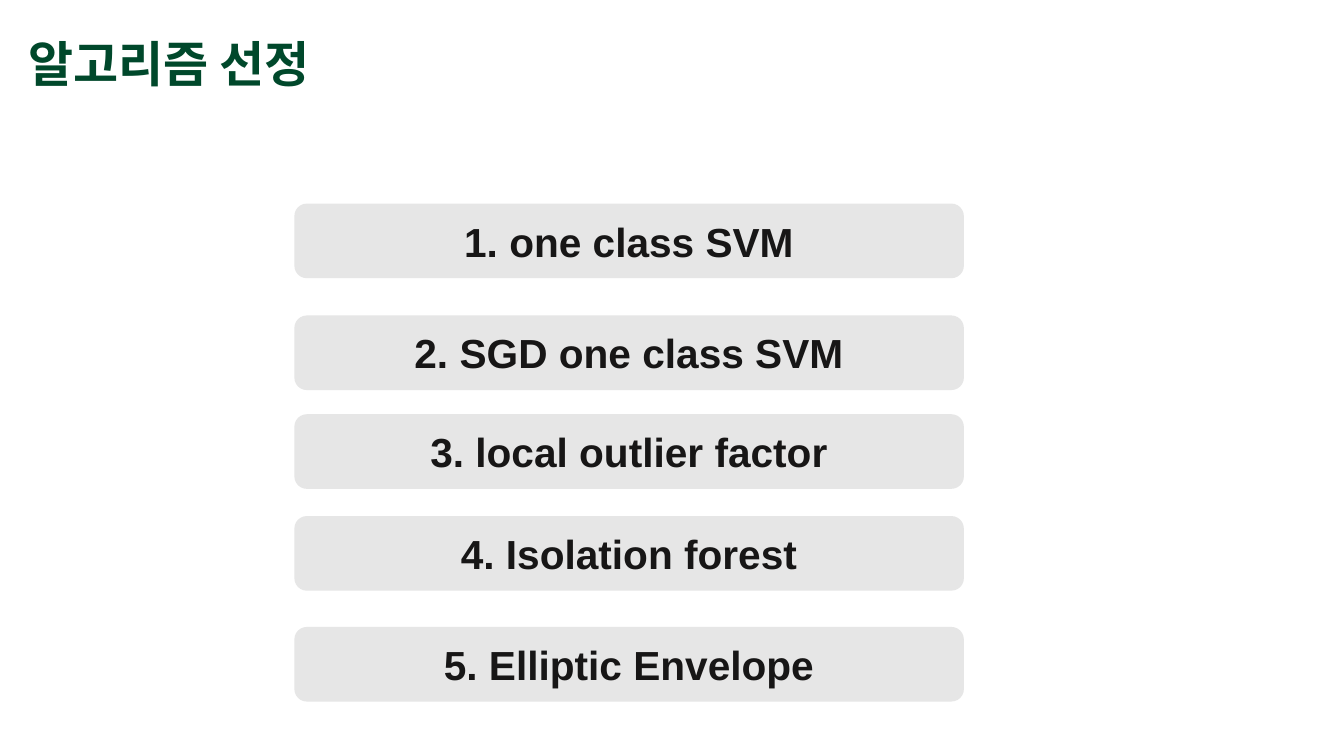
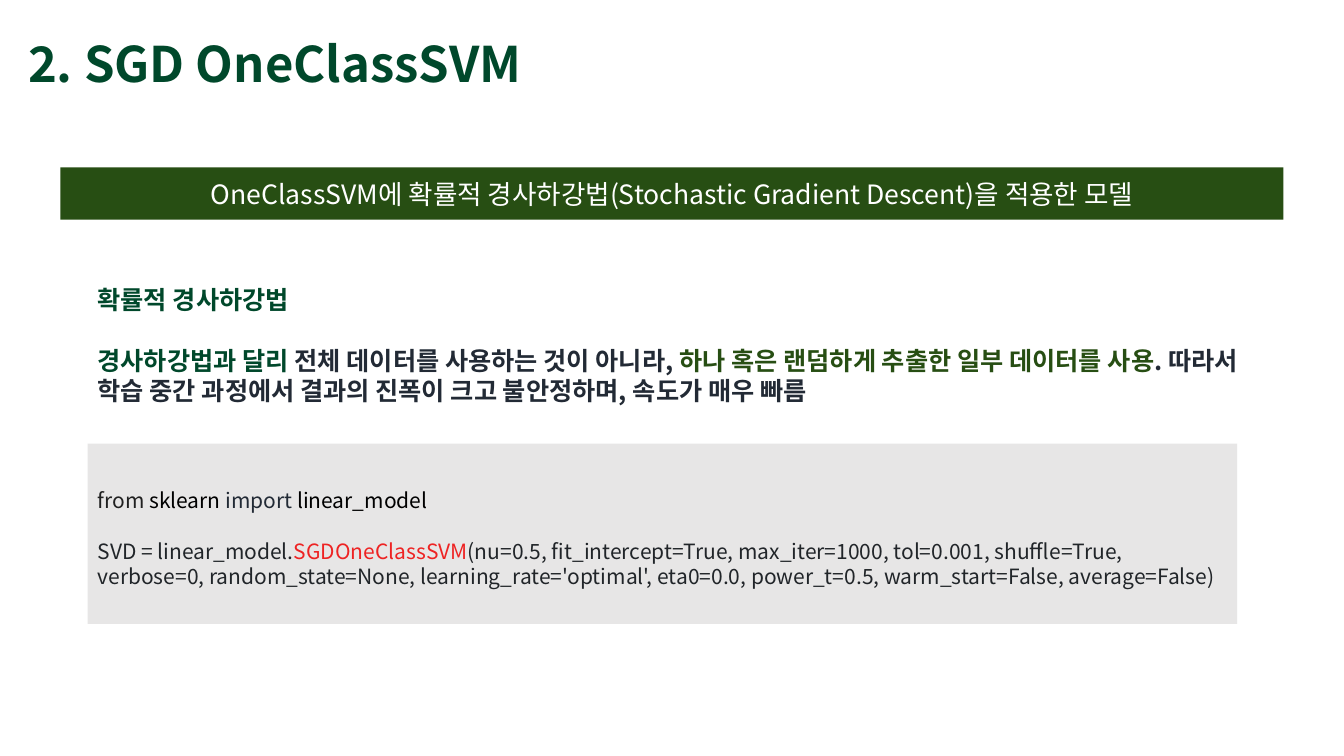
from lxml import etree
from pptx import Presentation
from pptx.dml.color import RGBColor
from pptx.enum import shapes, text
from pptx.oxml import ns
from pptx.util import Inches, Pt

KOREAN, LATIN = "Noto Sans CJK KR", "Arial"
GREEN, DARK_GREEN, WHITE = "00482B", "274E13", "FFFFFF"
PANEL, CODE_PANEL = "E6E6E6", "E7E6E6"
INK, SLATE, CODE_INK = "171616", "222A35", "212529"
CENTER = text.PP_ALIGN.CENTER
MIDDLE, TOP = text.MSO_ANCHOR.MIDDLE, text.MSO_ANCHOR.TOP
RECT = shapes.MSO_SHAPE.RECTANGLE
ROUNDED = shapes.MSO_SHAPE.ROUNDED_RECTANGLE


def rgb(value):
    return RGBColor.from_string(value)


def add_panel(slide, box, fill, shape_kind=RECT):
    panel = slide.shapes.add_shape(shape_kind, *map(Inches, box))
    panel.shadow.inherit = False
    panel.fill.solid()
    panel.fill.fore_color.rgb = rgb(fill)
    panel.line.fill.background()
    return panel


def set_up_frame(shape, anchor=MIDDLE, inset=0.1):
    """Wrap the text, anchor it and set the top and bottom insets."""
    frame = shape.text_frame
    frame.word_wrap = True
    frame.vertical_anchor = anchor
    frame.margin_left = frame.margin_right = Inches(0.1)
    frame.margin_top = frame.margin_bottom = Inches(inset)
    return frame


def write(paragraph, runs, size, name=KOREAN, bold=False,
          align=text.PP_ALIGN.LEFT, spacing=None, before=None):
    """Fill a paragraph with (words, colour) runs in one font."""
    paragraph.alignment = align
    if spacing:
        paragraph.line_spacing = spacing
    if before:
        paragraph.space_before = Pt(before)
    font = paragraph.font
    font.size, font.name, font.bold = Pt(size), name, bold
    defaults = paragraph._p.pPr.find(ns.qn("a:defRPr"))
    etree.SubElement(defaults, ns.qn("a:ea")).set("typeface", name)
    for words, color in runs:
        run = paragraph.add_run()
        run.text = words
        run.font.color.rgb = rgb(color)


def add_titled_slide(deck, title):
    slide = deck.slides.add_slide(deck.slide_layouts[6])
    title_box = slide.shapes.add_textbox(*map(Inches, (0.18, 0.22, 11.01, 0.89)))
    frame = set_up_frame(title_box, inset=0.05)
    write(frame.paragraphs[0], [(title, GREEN)], 35, bold=True, spacing=0.9)
    return slide


def add_algorithm_bar(slide, box, label):
    frame = set_up_frame(add_panel(slide, box, PANEL, ROUNDED), inset=0.05)
    write(frame.paragraphs[0], [(label, INK)], 29, LATIN, bold=True, align=CENTER)


def add_summary_band(slide, box, summary):
    frame = set_up_frame(add_panel(slide, box, DARK_GREEN))
    write(frame.paragraphs[0], [(summary, WHITE)], 19, align=CENTER)


def add_explanation(slide, box, heading, body):
    explanation = slide.shapes.add_textbox(*map(Inches, box))
    frame = set_up_frame(explanation, TOP)
    write(frame.paragraphs[0], [(heading, GREEN)], 18, bold=True)
    write(frame.add_paragraph(), body, 18, bold=True, before=22)


def add_code(slide, box, import_line, call):
    frame = set_up_frame(add_panel(slide, box, CODE_PANEL))
    write(frame.paragraphs[0], import_line, 15, spacing=1.36)
    write(frame.add_paragraph(), call, 15, before=18)


def build_algorithm_list(deck):
    slide = add_titled_slide(deck, "알고리즘 선정")
    algorithms = [
        (2.02, "one class SVM"),
        (3.13, "SGD one class SVM"),
        (4.11, "local outlier factor"),
        (5.12, "Isolation forest"),
        (6.22, "Elliptic Envelope"),
    ]
    for number, (top, algorithm) in enumerate(algorithms, 1):
        add_algorithm_bar(slide, (2.92, top, 6.64, 0.74), f"{number}. {algorithm}")


def build_sgd_model(deck):
    slide = add_titled_slide(deck, "2. SGD OneClassSVM")
    add_summary_band(
        slide, (0.6, 1.66, 12.13, 0.52),
        "OneClassSVM에 확률적 경사하강법(Stochastic Gradient Descent)을 적용한 모델")
    add_explanation(slide, (0.87, 2.72, 11.86, 1.41), "확률적 경사하강법", [
        ("경사하강법과 달리 ", GREEN),
        ("전체 데이터를 사용하는 것이 아니라, ", SLATE),
        ("하나 혹은 랜덤하게 추출한 일부 데이터를 사용", DARK_GREEN),
        (". 따라서 학습 중간 과정에서 결과의 진폭이 크고 불안정하며, "
         "속도가 매우 빠름", SLATE),
    ])
    import_line = [("from", "212121"), (" sklearn ", "000000"),
                   ("import", SLATE), (" linear_model", "000000")]
    call = [
        ("SVD = linear_model.", CODE_INK),
        ("SGDOneClassSVM", "EE2323"),
        ("(nu=0.5, fit_intercept=True, max_iter=1000, tol=0.001, shuffle=True, "
         "verbose=0, random_state=None, learning_rate='optimal', eta0=0.0, "
         "power_t=0.5, warm_start=False, average=False)", CODE_INK),
    ]
    add_code(slide, (0.87, 4.4, 11.4, 1.79), import_line, call)


def main():
    deck = Presentation()
    deck.slide_width, deck.slide_height = Inches(13.33), Inches(7.5)
    build_algorithm_list(deck)
    build_sgd_model(deck)
    deck.save("out.pptx")


if __name__ == "__main__":
    main()
